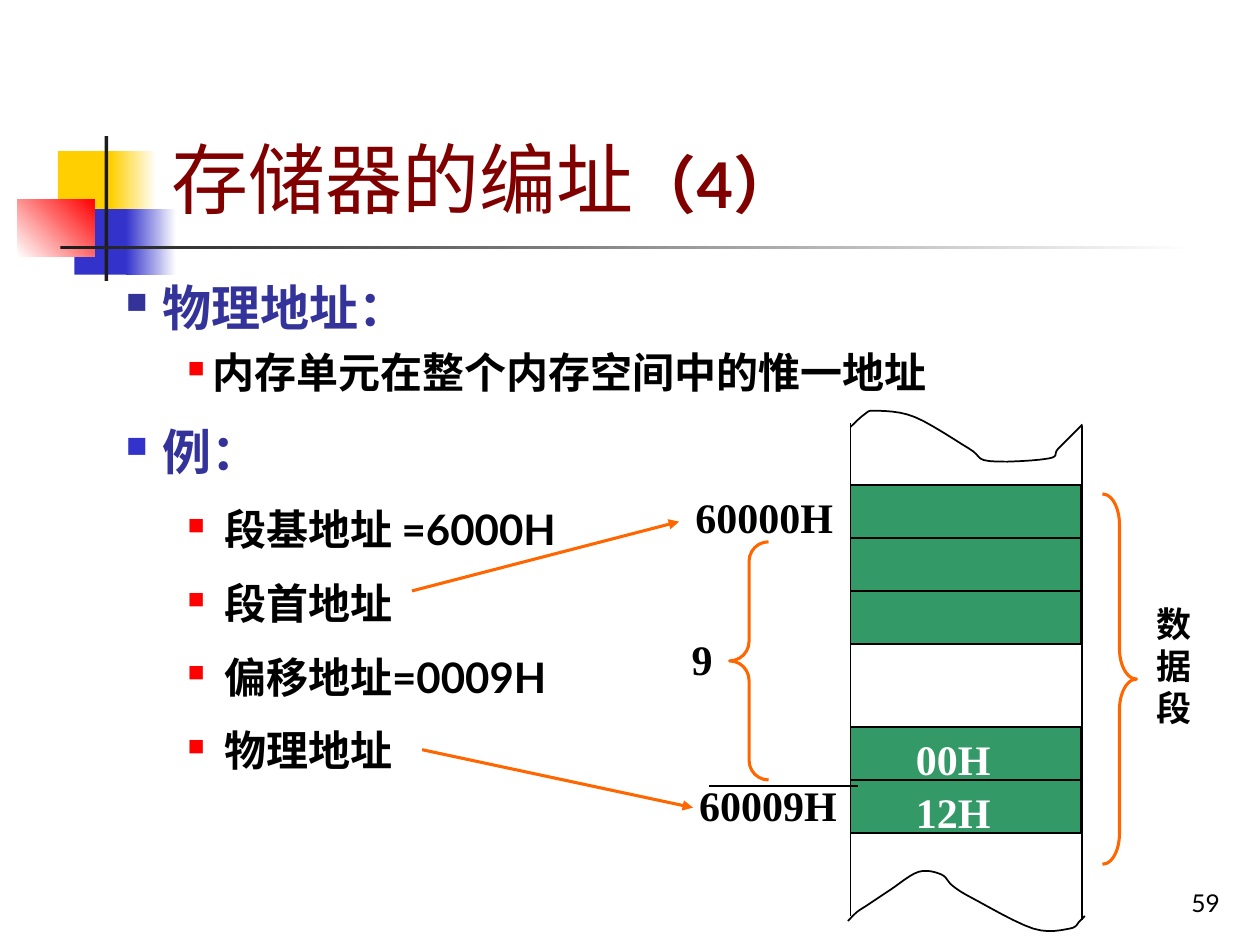
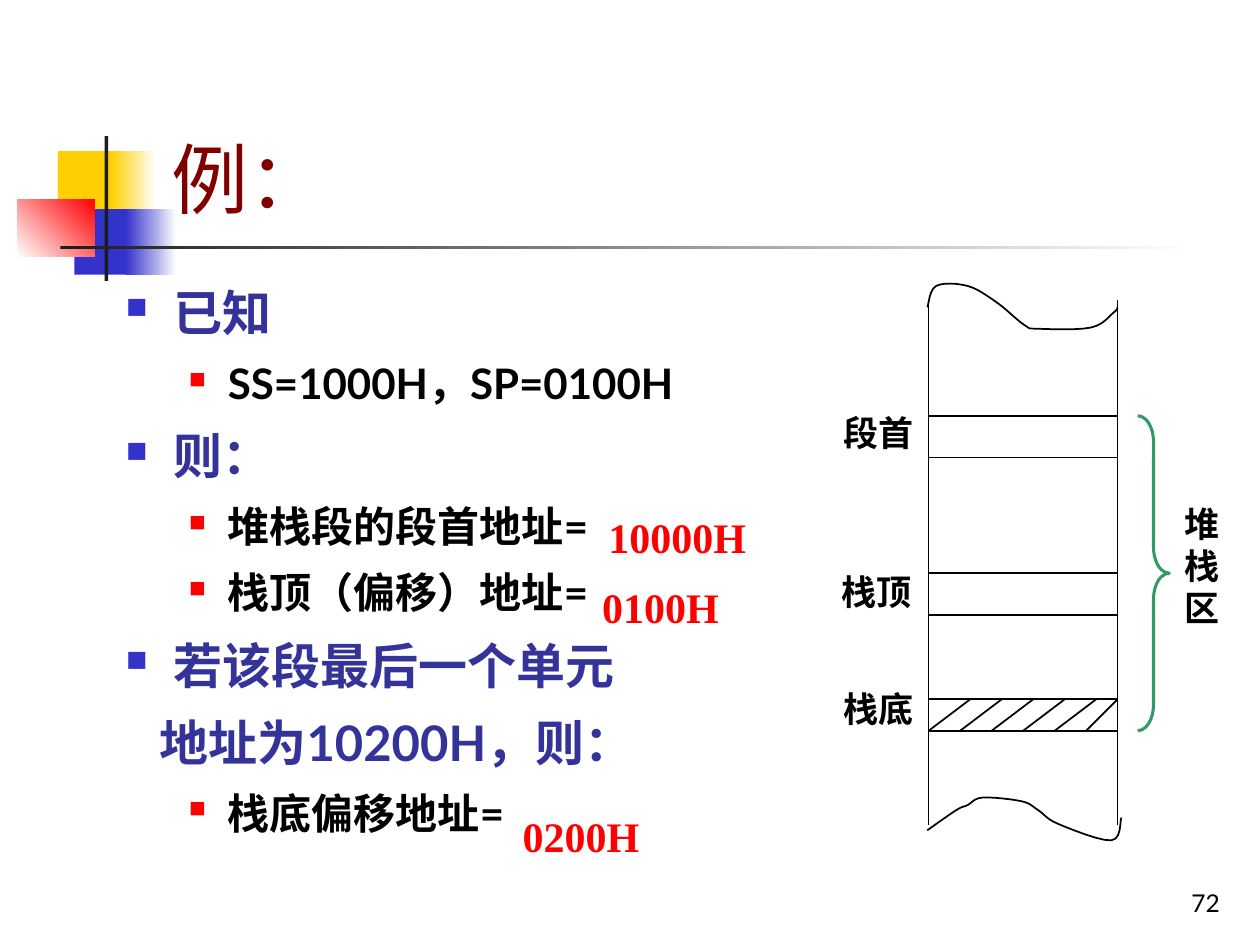
"""Builds two slides on memory addressing and the stack segment."""
import pptx
import pptx.dml.color
import pptx.enum.shapes
import pptx.enum.text
import pptx.oxml.ns
import pptx.util
from lxml import etree

Inches = pptx.util.Inches
Pt = pptx.util.Pt
RGB = pptx.dml.color.RGBColor.from_string
qn = pptx.oxml.ns.qn
Kind = pptx.enum.shapes.MSO_SHAPE
Align = pptx.enum.text.PP_ALIGN
Anchor = pptx.enum.text.MSO_ANCHOR


class Theme:
    sans, serif = "Lato", "Times New Roman"
    white, black, ink = "FFFFFF", "000000", "1C1C1C"
    gold, blue, red = "FFCF01", "3333CC", "FF0000"
    navy, wine, green, orange = "333399", "800000", "339966", "FF6600"
    title, tail, head, text, label, page = 44, 36, 28, 24, 20, 14
    thin, bold = 1, 1.75


def write(shapes, box, lines, size, hue=Theme.black, bold=True, face=Theme.serif):
    frame = shapes.add_textbox(*map(Inches, box)).text_frame
    frame.word_wrap = True
    frame.text = "\n".join(lines)
    for para in frame.paragraphs:
        font = para.font
        font.name, font.size, font.bold = face, Pt(size), bold
        font.color.rgb = RGB(hue)
    return frame


def rule(shapes, ends, hue=Theme.black, width=Theme.thin):
    line = shapes.add_connector(pptx.enum.shapes.MSO_CONNECTOR.STRAIGHT, *map(Inches, ends))
    line.line.color.rgb = RGB(hue)
    line.line.width = Pt(width)
    etree.SubElement(line._element.spPr, qn("a:effectLst"))
    return line


deck = pptx.Presentation()
deck.slide_width, deck.slide_height = Inches(10), Inches(7.5)

motif = [
    ((0.46, 1.2, 0.48, 0.52), Theme.gold, Theme.gold, 0),
    ((0.88, 1.2, 0.36, 0.52), Theme.gold, Theme.white, 0),
    ((0.59, 1.66, 0.46, 0.52), Theme.blue, Theme.blue, 0),
    ((1, 1.66, 0.4, 0.52), Theme.blue, Theme.white, 0),
    ((0.14, 1.58, 0.61, 0.46), Theme.white, Theme.red, 45),
    ((0.83, 1.08, 0.03, 1.15), Theme.ink, Theme.ink, 0),
    ((0.48, 1.95, 9, 0.03), Theme.ink, Theme.white, 0),
]
pages = []
for title, tail, number in [("存储器的编址", "（4）", "59"), ("例：", "", "72")]:
    slide = deck.slides.add_slide(deck.slide_layouts[6])
    shapes = slide.shapes
    pages.append(shapes)
    for box, start, end, angle in motif:
        block = shapes.add_shape(Kind.RECTANGLE, *map(Inches, box))
        block.shadow.inherit = False
        block.line.fill.background()
        if start == end:
            block.fill.solid()
            block.fill.fore_color.rgb = RGB(start)
        else:
            block.fill.gradient()
            block.fill.gradient_angle = angle
            for stop, hue in zip(block.fill.gradient_stops, (start, end)):
                stop.color.rgb = RGB(hue)
    foot = write(shapes, (7.7, 6.83, 2.08, 0.5), [number], Theme.page, bold=False, face=Theme.sans)
    foot.vertical_anchor = Anchor.BOTTOM
    foot.paragraphs[0].alignment = Align.RIGHT
    head = write(shapes, (1.26, 0.23, 8.52, 1.6), [title], Theme.title, Theme.wine, False, Theme.sans)
    head.vertical_anchor = Anchor.BOTTOM
    if tail:
        run = head.paragraphs[0].add_run()
        run.text = tail
        run.font.size, run.font.bold = Pt(Theme.tail), True

memory, stack = pages
bodies = [
    (memory, (0.9, 2.15, 7.17, 1.05), Theme.serif, Theme.navy, 1, (0, 0),
     [(0.29, 0.29), (0.69, 0.2)],
     [(0, "物理地址："), (1, "内存单元在整个内存空间中的惟一地址")]),
    (memory, (0.9, 3.2, 4.21, 3.78), Theme.sans, Theme.blue, 1.2, (1.8, 1.5),
     [(0.29, 0.29), (0.78, 0.29)],
     [(0, "例："), (1, "段基地址 =6000H"), (1, "段首地址"),
      (1, "偏移地址=0009H"), (1, "物理地址")]),
    (stack, (0.9, 2.17, 5.42, 4.75), Theme.sans, Theme.blue, 1.05, (1.8, 1.5),
     [(0.38, 0.38), (0.81, 0.31), (0.27, 0)],
     [(0, "已知"), (1, "SS=1000H，SP=0100H"), (0, "则："), (1, "堆栈段的段首地址="),
      (1, "栈顶（偏移）地址="), (0, "若该段最后一个单元"),
      (2, "地址为10200H，则："), (1, "栈底偏移地址=")]),
]
for shapes, box, face, mark, gap, after, insets, items in bodies:
    frame = shapes.add_textbox(*map(Inches, box)).text_frame
    frame.word_wrap = True
    frame.text = "\n".join(text for _, text in items)
    for row, (para, (rank, _)) in enumerate(zip(frame.paragraphs, items)):
        sub = rank == 1
        left, hang = insets[rank]
        para.level = int(sub)
        para.line_spacing = gap
        para.space_before = Pt((6 if sub else 7) if row else 0)
        para.space_after = Pt(after[sub])
        props = para._p.get_or_add_pPr()
        props.set("marL", str(Inches(left)))
        props.set("indent", str(-Inches(hang)))
        if hang:
            tint = etree.SubElement(props, qn("a:buClr"))
            etree.SubElement(tint, qn("a:srgbClr"), val=Theme.red if sub else mark)
            etree.SubElement(props, qn("a:buSzPct"), val="55000" if sub else "60000")
            etree.SubElement(props, qn("a:buChar"), char="■")
        else:
            etree.SubElement(props, qn("a:buNone"))
        font = para.font
        font.name, font.bold = face, True
        font.size = Pt(Theme.text if sub else Theme.head)
        font.color.rgb = RGB(Theme.black if sub else Theme.navy)

for top in (3.85, 4.27, 4.69, 5.77, 6.19):
    cell = memory.add_shape(Kind.RECTANGLE, *map(Inches, (6.75, top, 1.83, 0.42)))
    cell.shadow.inherit = False
    cell.fill.solid()
    cell.fill.fore_color.rgb = RGB(Theme.green)
    cell.line.color.rgb = RGB(Theme.black)
    cell.line.width = Pt(Theme.thin)
for ends in [(6.75, 3.36, 6.75, 7.27), (8.59, 3.38, 8.59, 7.3), (5.63, 6.24, 6.81, 6.24)]:
    rule(memory, ends)
for ends in [(3.35, 5.95, 5.5, 6.41), (3.27, 4.69, 5.39, 4.14)]:
    arrow = rule(memory, ends, Theme.orange, Theme.bold)
    etree.SubElement(arrow.line._get_or_add_ln(), qn("a:tailEnd"), type="triangle")

group = stack.add_group_shape().shapes
store = group.add_shape(Kind.RECTANGLE, *map(Inches, (7.37, 3.3, 1.5, 2.5)))
store.shadow.inherit = False
store.fill.background()
store.line.color.rgb = RGB(Theme.black)
store.line.width = Pt(Theme.thin)
for y in (3.63, 4.88, 5.55):
    rule(group, (7.37, y, 8.87, y))
middle = rule(group, (7.37, 4.55, 8.87, 4.55))
middle.begin_connect(store, 1)
middle.end_connect(store, 3)
for x in (7.37, 8.87):
    rule(group, (x, 2.38, x, 6.55))
for step in range(6):
    x = 7.37 + 0.25 * step
    rule(group, (min(x + 0.33, 8.87), 5.55, x, 5.8))

waves = [
    (memory, [(6.75, 3.39), (6.86, 3.29), (6.95, 3.26), (7.26, 3.31), (7.69, 3.56),
              (7.85, 3.66), (8.32, 3.64), (8.4, 3.56), (8.59, 3.37)]),
    (memory, [(6.73, 7.31), (6.8, 7.24), (6.89, 7.18), (7.07, 7.06), (7.29, 6.92),
              (7.47, 6.94), (7.56, 7.03), (7.72, 7.13), (8.2, 7.37), (8.49, 7.37),
              (8.57, 7.31), (8.61, 7.27)]),
    (group, [(7.36, 2.44), (7.43, 2.27), (7.68, 2.27), (7.91, 2.4), (8.13, 2.58),
             (8.24, 2.61), (8.66, 2.6), (8.84, 2.48), (8.87, 2.44)]),
    (group, [(7.36, 6.59), (7.59, 6.43), (7.68, 6.39), (7.8, 6.33), (8.11, 6.36),
             (8.24, 6.43), (8.4, 6.54), (8.82, 6.67), (8.9, 6.49)]),
]
for shapes, knots in waves:
    curve = []
    for quad in zip(knots[:1] + knots, knots, knots[1:], knots[2:] + knots[-1:]):
        for step in range(1, 7):
            t = step / 6
            curve.append([
                Inches(b + t * (c - a) / 2 + t**2 * (a - 2.5 * b + 2 * c - d / 2)
                       + t**3 * (3 * b - a - 3 * c + d) / 2)
                for a, b, c, d in zip(*quad)])
    pen = shapes.build_freeform(*map(Inches, knots[0]))
    pen.add_line_segments(curve, close=False)
    wave = pen.convert_to_shape()
    wave.shadow.inherit = False
    wave.fill.background()
    wave.line.color.rgb = RGB(Theme.black)
    wave.line.width = Pt(Theme.thin)

for shapes, kind, box, bend, hue in [
    (memory, Kind.RIGHT_BRACE, (8.75, 3.92, 0.27, 2.94), 0.9, Theme.orange),
    (memory, Kind.LEFT_BRACE, (5.79, 4.3, 0.31, 1.89), 0.5, Theme.orange),
    (group, Kind.RIGHT_BRACE, (9.03, 3.3, 0.25, 2.5), 0.83, Theme.green),
]:
    brace = shapes.add_shape(kind, *map(Inches, box))
    brace.shadow.inherit = False
    brace.adjustments[0] = bend
    brace.fill.background()
    brace.line.color.rgb = RGB(hue)
    brace.line.width = Pt(Theme.bold)

for shapes, box, text, size, hue in [
    (memory, (9.08, 4.73, 0.5, 1.1), "数据段", Theme.label, Theme.black),
    (memory, (5.45, 6.14, 1.33, 0.5), "60009H", Theme.text, Theme.black),
    (memory, (5.42, 3.85, 1.33, 0.5), "60000H", Theme.text, Theme.black),
    (memory, (5.39, 4.98, 0.44, 0.5), "9", Theme.text, Theme.black),
    (memory, (7.17, 5.77, 0.92, 0.5), "00H", Theme.text, Theme.white),
    (memory, (7.17, 6.19, 0.92, 0.5), "12H", Theme.text, Theme.white),
    (group, (6.6, 3.22, 0.83, 0.44), "段首", Theme.label, Theme.black),
    (group, (6.58, 4.48, 0.83, 0.44), "栈顶", Theme.label, Theme.black),
    (group, (6.6, 5.41, 0.83, 0.44), "栈底", Theme.label, Theme.black),
    (group, (9.3, 3.94, 0.58, 1.1), "堆栈区", Theme.label, Theme.black),
    (stack, (4.73, 4.01, 1.65, 0.5), "10000H", Theme.text, Theme.red),
    (stack, (4.68, 4.57, 1.65, 0.5), "0100H", Theme.text, Theme.red),
    (stack, (4.05, 6.38, 1.65, 0.5), "0200H", Theme.text, Theme.red),
]:
    write(shapes, box, [text], size, hue)

deck.save("out.pptx")
